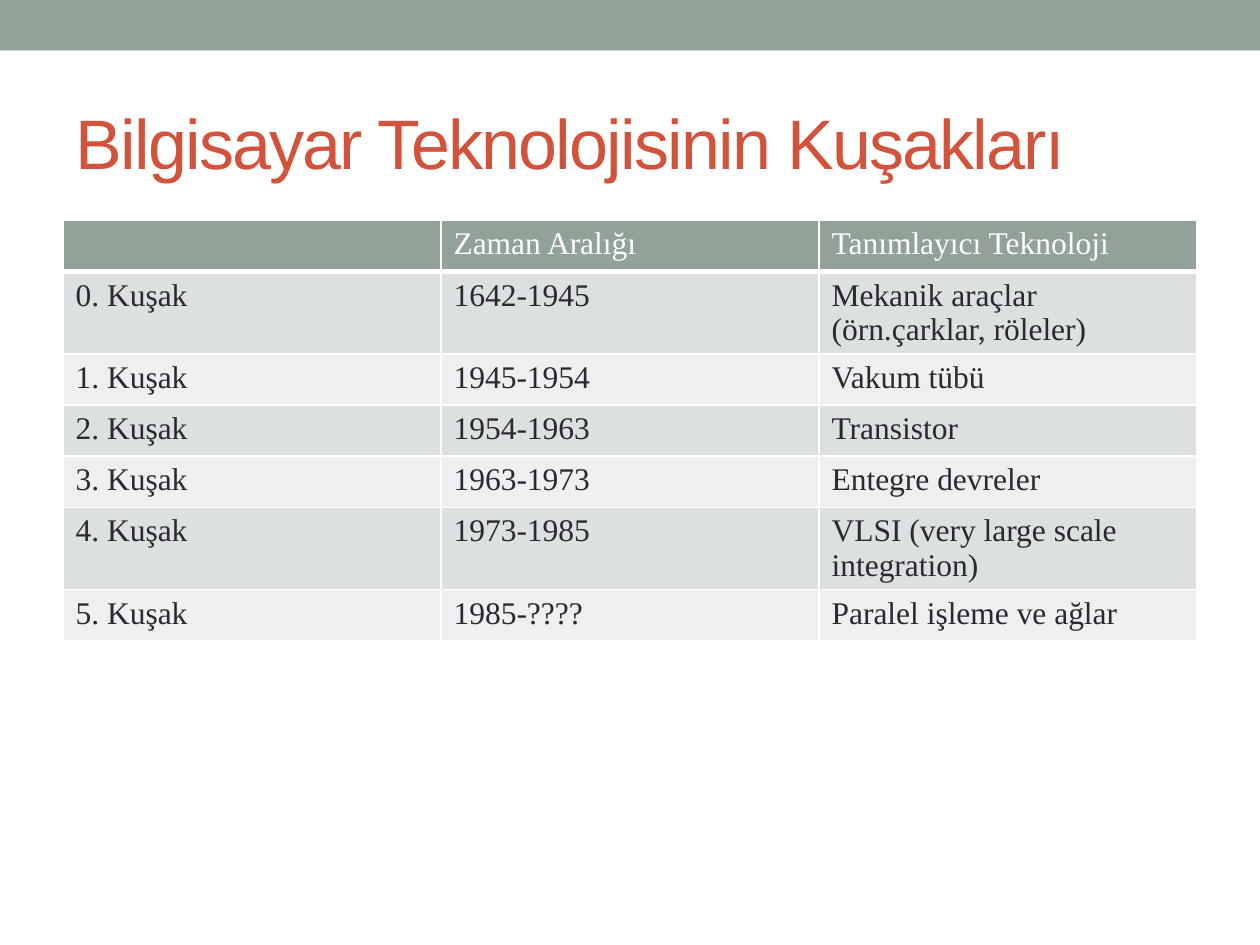
from lxml.etree import SubElement
from pptx import Presentation
from pptx.dml.color import RGBColor
from pptx.enum.shapes import MSO_SHAPE as Shape
from pptx.enum.text import MSO_ANCHOR as Anchor, MSO_AUTO_SIZE as AutoSize, PP_ALIGN as Align
from pptx.oxml.ns import qn
from pptx.util import Pt

SAGE = RGBColor(0x93, 0xA2, 0x99)
RED = RGBColor(0xD2, 0x53, 0x3C)
INK = RGBColor(0x29, 0x29, 0x34)
WHITE = RGBColor(0xFF, 0xFF, 0xFF)
BANDS = (RGBColor(0xDC, 0xE0, 0xDE), RGBColor(0xEE, 0xF0, 0xEF))

TITLE_FONT = {"name": "Arial", "size": Pt(40), "bold": False}
CELL_FONT = {"name": "Times New Roman", "size": Pt(18), "bold": False}
TITLE_FRAME = {"word_wrap": True, "auto_size": AutoSize.NONE, "vertical_anchor": Anchor.MIDDLE}
CELL_MARGINS = {"margin_left": Pt(7.2), "margin_right": Pt(7.2),
                "margin_top": Pt(3.6), "margin_bottom": Pt(3.6)}
ROW_HEIGHT = Pt(29.2)

GENERATIONS = [
    ("", "Zaman Aralığı", "Tanımlayıcı Teknoloji"),
    ("0. Kuşak", "1642-1945", "Mekanik araçlar (örn.çarklar, röleler)"),
    ("1. Kuşak", "1945-1954", "Vakum tübü"),
    ("2. Kuşak", "1954-1963", "Transistor"),
    ("3. Kuşak", "1963-1973", "Entegre devreler"),
    ("4. Kuşak", "1973-1985", "VLSI (very large scale integration)"),
    ("5. Kuşak", "1985-????", "Paralel işleme ve ağlar"),
]


def apply(target, values):
    """Set every attribute in values on target."""
    for attribute, value in values.items():
        setattr(target, attribute, value)


def style_font(font, values, color):
    """Give a font its format values and colour."""
    apply(font, values)
    font.color.rgb = color


def add_band(slide, left, top, width, height):
    """Draw the plain colour band inside the given box."""
    band = slide.shapes.add_shape(Shape.RECTANGLE, left, top, width, height)
    band.shadow.inherit = False
    band.fill.solid()
    band.fill.fore_color.rgb = SAGE
    band.line.fill.background()


def set_title(slide, left, top, width, height):
    """Place and format the title placeholder in the given box."""
    title = slide.shapes.title
    apply(title, {"left": left, "top": top, "width": width, "height": height})
    title.text_frame.text = "Bilgisayar Teknolojisinin Kuşakları"
    apply(title.text_frame, TITLE_FRAME)
    paragraph = title.text_frame.paragraphs[0]
    paragraph.alignment = Align.LEFT
    run = paragraph.runs[0]
    style_font(run.font, TITLE_FONT, RED)
    run.font._element.set("spc", "-100")


def set_borders(cell, bottom_width):
    """Outline a cell in white, with its own bottom line width."""
    properties = cell._tc.get_or_add_tcPr()
    sides = {"a:lnL": Pt(1), "a:lnR": Pt(1), "a:lnT": Pt(1), "a:lnB": bottom_width}
    for position, (side, width) in enumerate(sides.items()):
        line = SubElement(properties, qn(side), w=str(width))
        fill = SubElement(line, qn("a:solidFill"))
        SubElement(fill, qn("a:srgbClr"), val=str(WHITE))
        properties.insert(position, line)


def add_generations(slide, left, top, width, height):
    """Build the table of computer generations in the given box."""
    column_count = len(GENERATIONS[0])
    frame = slide.shapes.add_table(len(GENERATIONS), column_count, left, top, width, height)
    table = frame.table
    for column in table.columns:
        column.width = width // column_count
    for index, (row, wording) in enumerate(zip(table.rows, GENERATIONS)):
        row.height = ROW_HEIGHT
        is_header = index == 0
        for cell, text in zip(row.cells, wording):
            cell.text = text
            apply(cell, CELL_MARGINS)
            cell.fill.solid()
            cell.fill.fore_color.rgb = SAGE if is_header else BANDS[(index - 1) % 2]
            set_borders(cell, Pt(3) if is_header else Pt(1))
            style_font(cell.text_frame.paragraphs[0].font, CELL_FONT, WHITE if is_header else INK)
            for run in cell.text_frame.paragraphs[0].runs:
                style_font(run.font, CELL_FONT, WHITE if is_header else INK)
    frame.height = height


def main():
    """Build and save the one-slide deck."""
    deck = Presentation()
    apply(deck, {"slide_width": Pt(720), "slide_height": Pt(540)})
    slide = deck.slides.add_slide(deck.slide_layouts[5])
    add_band(slide, 0, 0, deck.slide_width, Pt(28.8))
    set_title(slide, Pt(36), Pt(42), Pt(648), Pt(78))
    add_generations(slide, Pt(36), Pt(126), Pt(648), Pt(247))
    deck.save("out.pptx")


if __name__ == "__main__":
    main()
